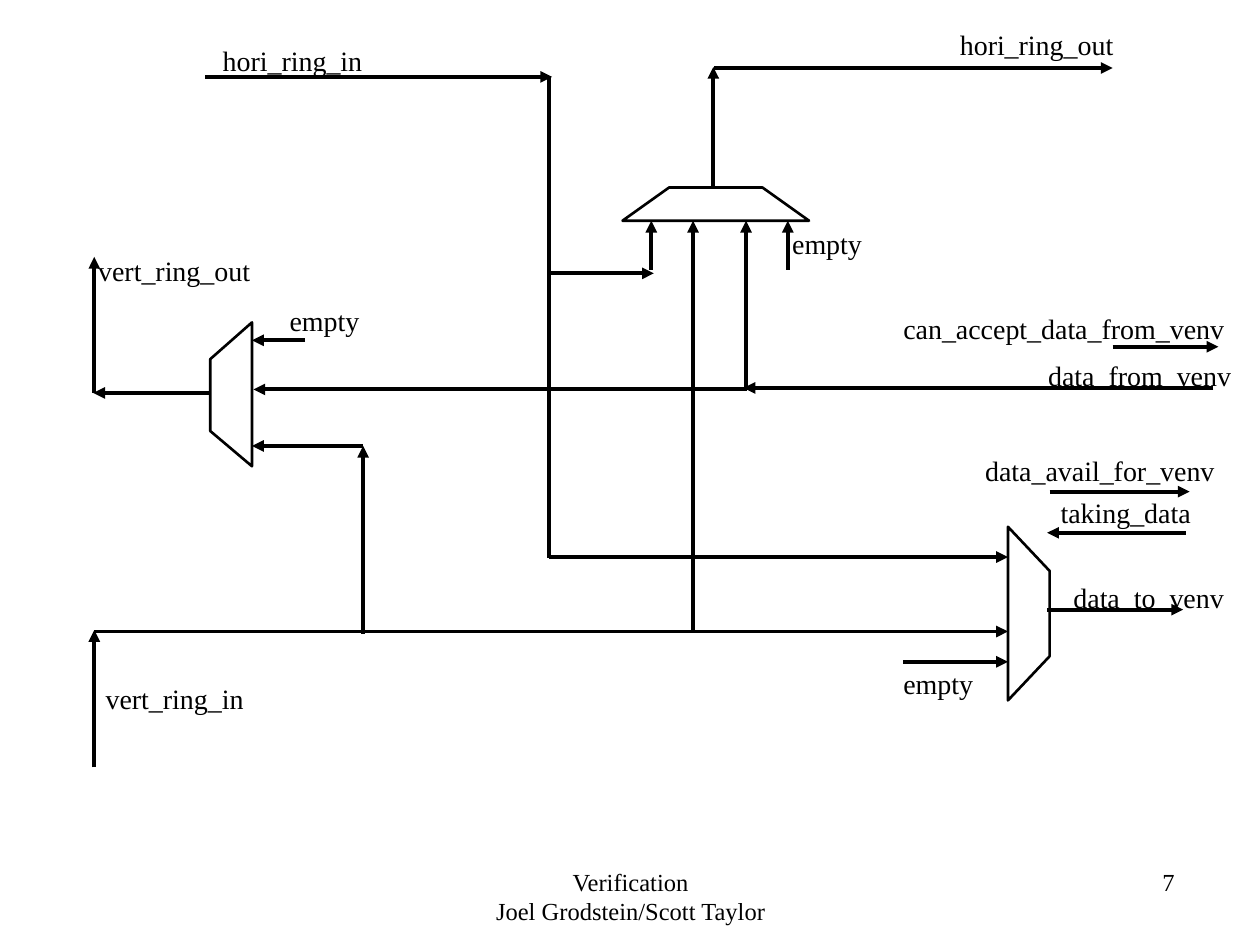
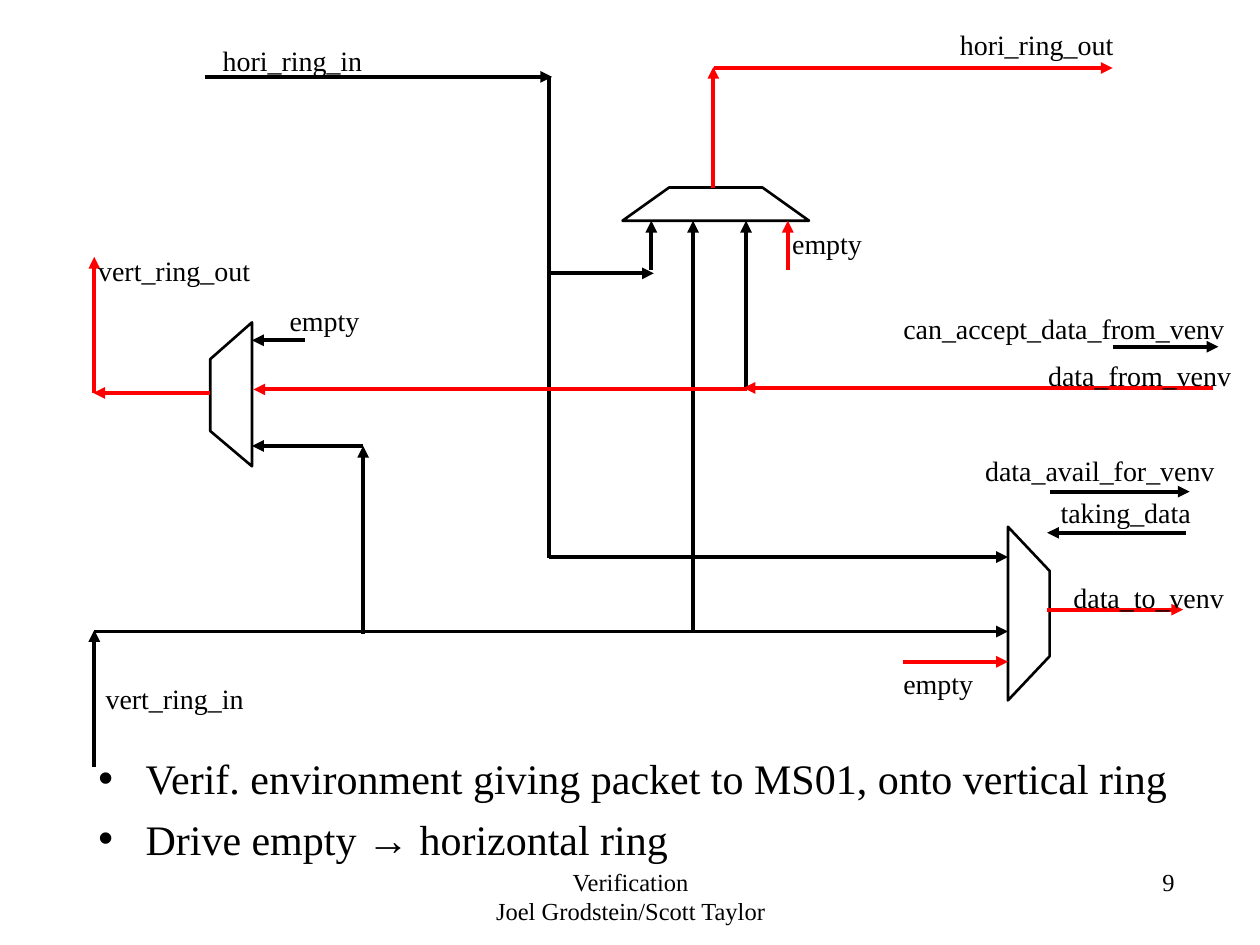
import pptx
import pptx.util
import pptx.dml.color
import pptx.enum.shapes
import pptx.enum.text
import pptx.oxml.ns
import lxml.etree

Cm, Pt = pptx.util.Cm, pptx.util.Pt
FONT = "Times New Roman"
BLACK, RED = "000000", "FF0000"

# Shared grid, in cm: the ring columns and rows, and the mux input edges
LEFT, TRUNK, TAP = 1.9, 11.07, 7.32
HORI, VERT, VENV = 1.55, 12.73, 7.85
OUT, EXIT = 1.37, 7.92
TOP_IN, LEFT_IN, RIGHT_IN = 4.45, 5.08, 20.32

# Corner points of the muxes
MUXES = [
    [(RIGHT_IN, 14.12), (21.16, 13.23), (21.16, 11.51), (RIGHT_IN, 10.62)],
    [(LEFT_IN, 9.4), (4.24, 8.69), (4.24, 7.24), (LEFT_IN, 6.5)],
    [(12.55, TOP_IN), (13.49, 3.78), (15.37, 3.78), (16.31, TOP_IN)],
]

# Wires run from the first point to the second, where the arrowhead is
WIRES = {
    "vert in": (LEFT, 15.47, LEFT, VERT - 0.03),
    "vert up": (LEFT, EXIT, LEFT, 5.18),
    "hori in": (4.14, HORI, 11.13, HORI),
    "hori out": (14.4, OUT, 22.43, OUT),
    "to venv": (21.11, 12.29, 23.85, 12.29),
    "venv to top": (15.04, VENV, 15.04, TOP_IN),
    "hori to right": (TRUNK, 11.23, RIGHT_IN, 11.23),
    "right empty": (18.21, 13.34, RIGHT_IN, 13.34),
    "top empty": (15.88, 5.44, 15.88, TOP_IN),
    "vert out": (4.24, EXIT, 1.88, EXIT),
    "left empty": (6.15, 6.86, LEFT_IN, 6.86),
    "vert to left": (TAP, 8.99, LEFT_IN, 8.99),
    "vert tap": (TAP, 12.78, TAP, 8.99),
    "vert to top": (13.97, 12.7, 13.97, TOP_IN),
    "trunk": (TRUNK, HORI, TRUNK, 11.25),
    "hori tap": (TRUNK, 5.51, 13.18, 5.51),
    "hori to top": (13.13, 5.44, 13.13, TOP_IN),
    "from venv": (24.46, 7.82, 14.99, 7.82),
    "venv to left": (15.06, VENV, 5.11, VENV),
    "vert to right": (LEFT, VERT, RIGHT_IN, VERT),
    "taking": (23.9, 10.74, 21.11, 10.74),
    "top out": (14.38, 3.78, 14.38, 1.35),
    "avail": (21.16, 9.91, 23.98, 9.91),
    "accept": (22.43, 6.99, 24.56, 6.99),
}

# Wires that carry data when the environment hands over a packet
ACTIVE = {"vert up", "vert out", "hori out", "top out", "top empty",
          "from venv", "venv to left", "to venv", "right empty"}

# Signal names: text, left, top, width, wrap
LABELS = [
    ("vert_ring_in", 1.88, 13.61, 3.35, False),
    ("vert_ring_out", 1.73, 4.98, 3.63, False),
    ("hori_ring_out", 19.1, 0.43, 3.96, True),
    ("hori_ring_in", 4.24, 0.76, 3.38, False),
    ("data_to_venv", 21.39, 11.58, 3.58, False),
    ("empty", 17.96, 13.31, 2.13, True),
    ("empty", 5.59, 5.99, 2.21, True),
    ("empty", 15.72, TOP_IN, 2.39, True),
    ("data_from_venv", 20.88, 7.11, 4.32, True),
    ("taking_data", 21.13, 9.86, 3.3, True),
    ("data_avail_for_venv", 19.61, 9.02, 5.28, True),
    ("can_accept_data_from_venv", 17.96, 6.15, 7.11, True),
]

POINTS = ["Verif. environment giving packet to MS01, onto vertical ring",
          "Drive empty → horizontal ring"]


def paint(value):
    return pptx.dml.color.RGBColor.from_string(value)


def style(para, size, color=BLACK):
    para.font.name = FONT
    para.font.size = Pt(size)
    para.font.color.rgb = paint(color)


def text(slide, words, box, size=16, align="LEFT", wrap=True, fit=False):
    shape = slide.shapes.add_textbox(*map(Cm, box))
    frame = shape.text_frame
    frame.word_wrap = wrap
    kinds = pptx.enum.text.MSO_AUTO_SIZE
    frame.auto_size = kinds.SHAPE_TO_FIT_TEXT if fit else kinds.NONE
    frame.text = words
    for para in frame.paragraphs:
        para.alignment = getattr(pptx.enum.text.PP_ALIGN, align)
        style(para, size)


def child(node, tag, **attrs):
    return lxml.etree.SubElement(node, pptx.oxml.ns.qn(tag), attrs)


def wire(slide, ends, color, arrow=True):
    kind = pptx.enum.shapes.MSO_CONNECTOR.STRAIGHT
    link = slide.shapes.add_connector(kind, *map(Cm, ends))
    link.line.color.rgb = paint(color)
    link.line.width = Pt(2.25)
    props = link.element.spPr
    if arrow:
        child(props.find(pptx.oxml.ns.qn("a:ln")), "a:tailEnd", type="triangle")
    child(props, "a:effectLst")


def mux(slide, corners):
    first, *rest = [(Cm(x), Cm(y)) for x, y in corners]
    pen = slide.shapes.build_freeform(*first)
    pen.add_line_segments(rest, close=True)
    shape = pen.convert_to_shape()
    shape.shadow.inherit = False
    shape.fill.background()
    shape.line.color.rgb = paint(BLACK)
    shape.line.width = Pt(1.5)


def router(slide, active=()):
    for corners in MUXES:
        mux(slide, corners)
    for name, ends in WIRES.items():
        color = RED if name in active else BLACK
        wire(slide, ends, color, arrow=name != "trunk")
    for words, left, top, width, wrap in LABELS:
        text(slide, words, (left, top, width, 0.94), wrap=wrap, fit=True)


def footer(slide, number):
    text(slide, "Verification\nJoel Grodstein/Scott Taylor",
         (8.69, 17.35, 8.05, 1.27), size=14, align="CENTER")
    text(slide, number, (15.88, 17.35, 8.05, 1.27), size=14, align="RIGHT")


def bullets(slide, items):
    title = slide.shapes.title.element
    title.getparent().remove(title)
    body = slide.placeholders[1]
    body.left, body.top, body.width, body.height = map(
        Cm, (1.73, 15.04, 22.71, 2.69))
    frame = body.text_frame
    frame.text = "\n".join(items)
    frame.auto_size = pptx.enum.text.MSO_AUTO_SIZE.NONE
    for index, para in enumerate(frame.paragraphs):
        para.space_before = Pt(6 if index else 0)
        props = para._p.get_or_add_pPr()
        props.set("marL", str(Cm(0.95)))
        props.set("indent", str(-Cm(0.95)))
        child(props, "a:buChar", char="•")
        style(para, 24)


def main():
    deck = pptx.Presentation()
    deck.slide_width, deck.slide_height = Cm(25.4), Cm(19.05)

    # Router with no traffic
    slide = deck.slides.add_slide(deck.slide_layouts[6])
    footer(slide, "7")
    router(slide)

    # Packet handed to the vertical ring
    slide = deck.slides.add_slide(deck.slide_layouts[1])
    footer(slide, "9")
    router(slide, ACTIVE)
    bullets(slide, POINTS)

    deck.save("out.pptx")


if __name__ == "__main__":
    main()
